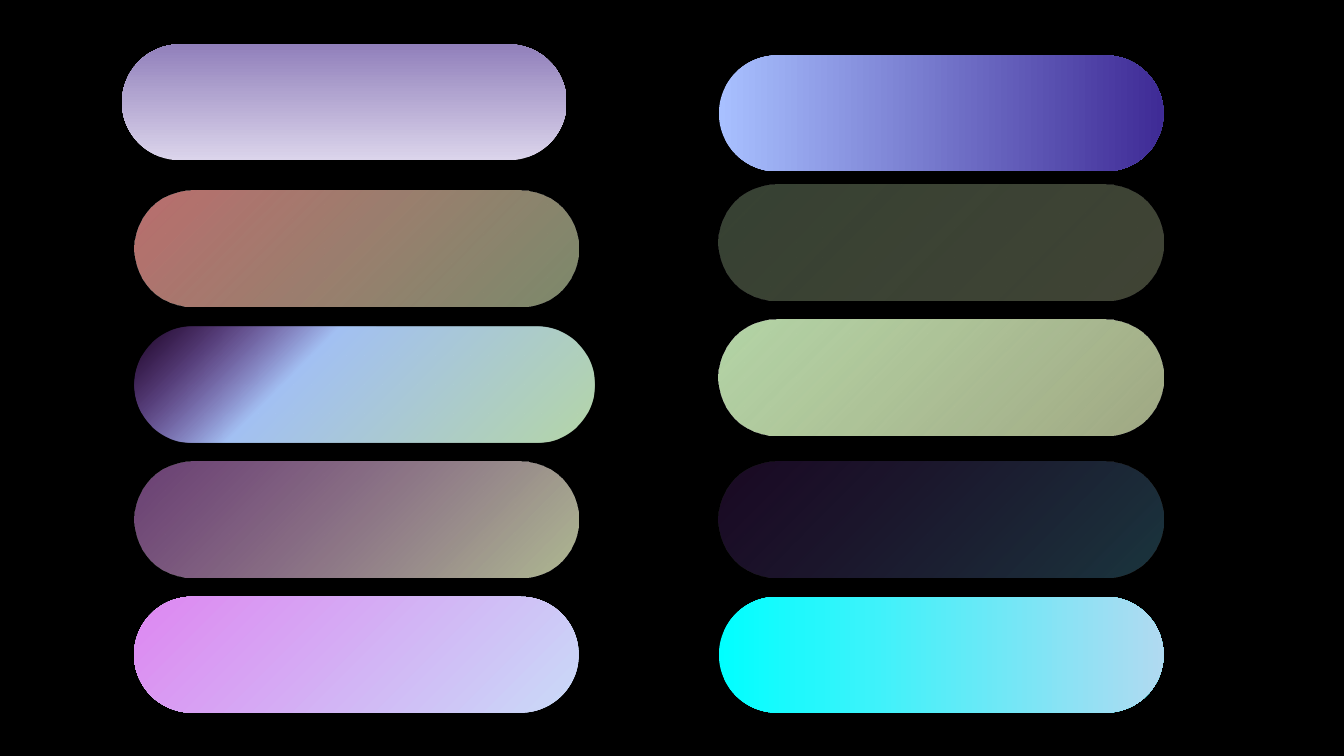
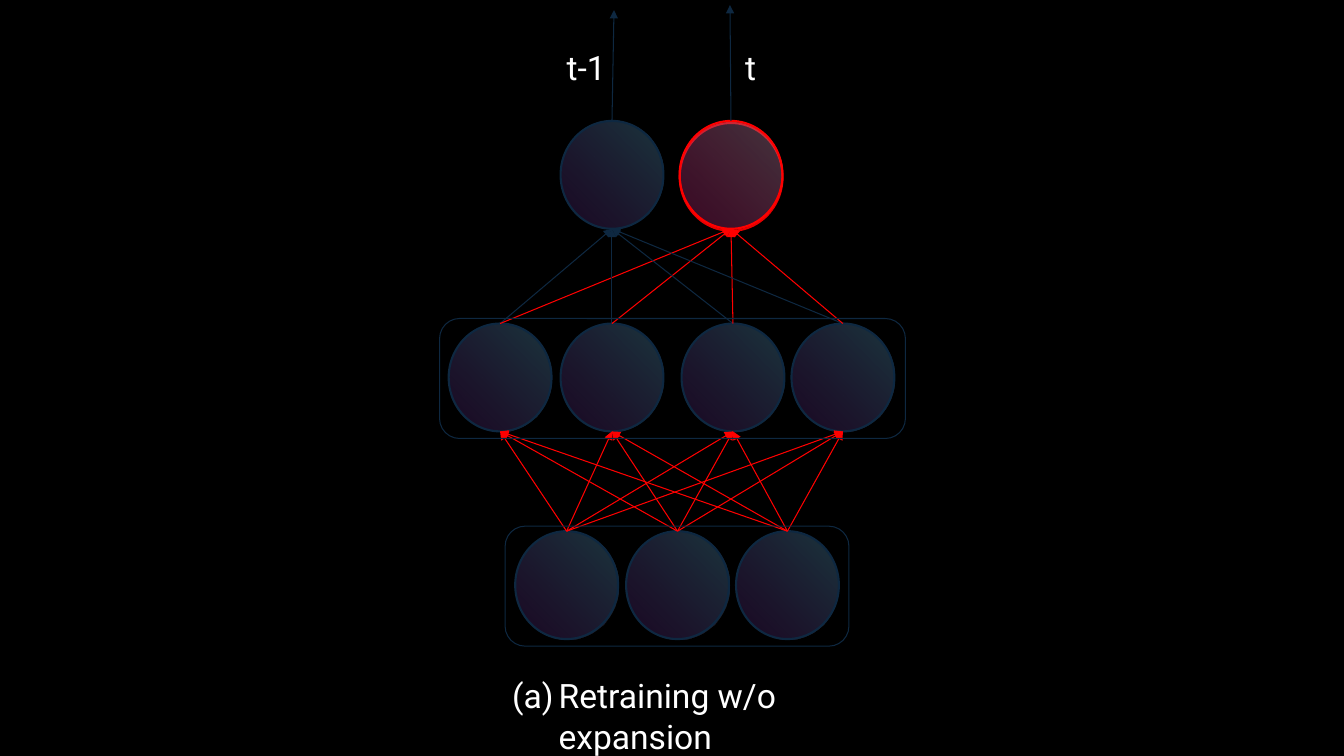
from pptx import Presentation
from pptx.dml.color import RGBColor
from pptx.enum.shapes import MSO_CONNECTOR, MSO_SHAPE
from pptx.oxml.ns import qn
from pptx.util import Inches, Pt
from lxml import etree

OVAL, ROUNDED = MSO_SHAPE.OVAL, MSO_SHAPE.ROUNDED_RECTANGLE
STRAIGHT = MSO_CONNECTOR.STRAIGHT

THEME = {
    "background": RGBColor.from_string("000000"),
    "text": RGBColor.from_string("FFFFFF"),
    "old": RGBColor.from_string("0E2841"),
    "trained": RGBColor.from_string("FF0000"),
    "night": [(0, "69D4F4", 26), (100, "9F39D5", 17)],
    "font": "Roboto",
    "size": Pt(24),
    "node_line": Pt(1.5),
    "thin_line": Pt(0.75),
}


def add_shape(slide, kind, box, stops=None, angle=0, line=None, width=None):
    s = slide.shapes.add_shape(kind, *map(Inches, box))
    s.shadow.inherit = False
    if stops:
        s.fill.gradient()
        s.fill.gradient_angle = angle
        stop_list = s._element.spPr.find(".//" + qn("a:gsLst"))
        for gs in list(stop_list):
            stop_list.remove(gs)
        for pos, color, alpha in stops:
            gs = etree.SubElement(stop_list, qn("a:gs"), pos=str(pos * 1000))
            clr = etree.SubElement(gs, qn("a:srgbClr"), val=color)
            if alpha < 100:
                etree.SubElement(clr, qn("a:alpha"), val=str(alpha * 1000))
    else:
        s.fill.background()
    if line is None:
        s.line.fill.background()
    else:
        s.line.color.rgb = line
        s.line.width = width
    return s


def add_text(slide, box, text, numbered=False):
    tf = slide.shapes.add_textbox(*map(Inches, box)).text_frame
    tf.word_wrap = True
    tf.margin_left = tf.margin_right = Inches(0.13)
    tf.margin_top = tf.margin_bottom = Inches(0.13)
    p = tf.paragraphs[0]
    if numbered:
        pPr = p._p.get_or_add_pPr()
        pPr.set("marL", str(Inches(0.67)))
        pPr.set("indent", str(Inches(-0.46)))
        clr = etree.SubElement(pPr, qn("a:buClr"))
        etree.SubElement(clr, qn("a:srgbClr"), val=str(THEME["text"]))
        etree.SubElement(pPr, qn("a:buSzPts"), val=str(int(THEME["size"].pt * 100)))
        etree.SubElement(pPr, qn("a:buFont"), typeface=THEME["font"])
        etree.SubElement(pPr, qn("a:buAutoNum"), type="alphaLcParenBoth")
    r = p.add_run()
    r.text = text
    r.font.name = THEME["font"]
    r.font.size = THEME["size"]
    r.font.color.rgb = THEME["text"]


prs = Presentation()
prs.slide_width, prs.slide_height = Inches(13.33), Inches(7.5)
swatches, network = [prs.slides.add_slide(prs.slide_layouts[6]) for _ in range(2)]
for slide in (swatches, network):
    slide.background.fill.solid()
    slide.background.fill.fore_color.rgb = THEME["background"]

PILL_W, PILL_H = 4.41, 1.15
LEFT, RIGHT = 1.33, 7.13
pills = [
    (1.21, 0.44, PILL_W, 90, [(0, "DBD4EB", 100), (100, "9180BB", 100)]),
    (RIGHT, 0.55, PILL_W, 0, [(0, "A8C0FF", 100), (100, "3F2B96", 100)]),
    (LEFT, 1.89, PILL_W, 135, [(0, "D8EDBA", 58), (100, "FE9696", 74)]),
    (LEFT, 3.24, 4.57, 135,
     [(0, "B6D7A8", 100), (64, "A4C2F4", 100), (100, "9F39D5", 17)]),
    (LEFT, 4.58, PILL_W, 135, [(0, "E0EDBA", 79), (100, "DE87F1", 48)]),
    (LEFT, 5.92, PILL_W, 135, [(0, "C9DAF8", 100), (100, "DE87F1", 100)]),
    (RIGHT, 1.83, PILL_W, 135, [(0, "E0EDBA", 29), (100, "B6D7A8", 31)]),
    (RIGHT, 3.17, PILL_W, 135, [(0, "E0EDBA", 71), (100, "B6D7A8", 100)]),
    (RIGHT, 4.58, PILL_W, 135, THEME["night"]),
    (RIGHT, 5.92, PILL_W, 0, [(0, "00FFFF", 100), (100, "B0DAF1", 100)]),
]
for x, y, w, angle, stops in pills:
    add_shape(swatches, ROUNDED, (x, y, w, PILL_H), stops, angle).adjustments[0] = 0.5

NODE_W, NODE_H = 1.02, 1.07
rows = {
    "input": (5.27, [5.62, 6.72, 7.81]),
    "hidden": (3.21, [4.96, 6.07, 7.27, 8.36]),
    "output": (1.2, [6.07, 7.25]),
}
nodes = {}
for row, (top, centers) in rows.items():
    nodes[row] = [
        add_shape(network, OVAL, (cx - NODE_W / 2, top, NODE_W, NODE_H),
                  THEME["night"], 225, THEME["old"], THEME["node_line"])
        for cx in centers
    ]

new_node = nodes["output"][1]
new_node.line.color.rgb = THEME["trained"]
effects = new_node._element.spPr.find(qn("a:effectLst"))
shadow = etree.SubElement(effects, qn("a:outerShdw"), blurRad="0", dist=str(Pt(1.5)),
                          dir=str(85 * 60000), algn="bl", rotWithShape="0")
clr = etree.SubElement(shadow, qn("a:srgbClr"), val=str(THEME["trained"]))
etree.SubElement(clr, qn("a:alpha"), val="89000")

arrows = []
for node in nodes["input"]:
    for cx in rows["hidden"][1]:
        arrows.append((node, cx, rows["hidden"][0] + NODE_H, THEME["trained"]))
for node in nodes["hidden"]:
    for cx, color in zip(rows["output"][1], (THEME["old"], THEME["trained"])):
        arrows.append((node, cx, rows["output"][0] + NODE_H, color))
for node, x, y in zip(nodes["output"], (6.09, 7.24), (0.1, 0.05)):
    arrows.append((node, x, y, THEME["old"]))

for node, x, y, color in arrows:
    c = network.shapes.add_connector(STRAIGHT, 0, 0, Inches(x), Inches(y))
    c.begin_connect(node, 0)
    c.line.color.rgb = color
    c.line.width = THEME["thin_line"]
    etree.SubElement(c.line._get_or_add_ln(), qn("a:tailEnd"), type="triangle")
    etree.SubElement(c._element.spPr, qn("a:effectLst"))

for box in ((4.36, 3.16, 4.62, 1.19), (5.01, 5.22, 3.41, 1.19)):
    add_shape(network, ROUNDED, box, line=THEME["old"], width=THEME["thin_line"])

add_text(network, (4.74, 6.57, 3.95, 1.08), "Retraining w/o expansion", numbered=True)
for x, label in ((5.49, "t-1"), (7.26, "t")):
    add_text(network, (x, 0.34, 0.81, 0.67), label)

prs.save("out.pptx")
